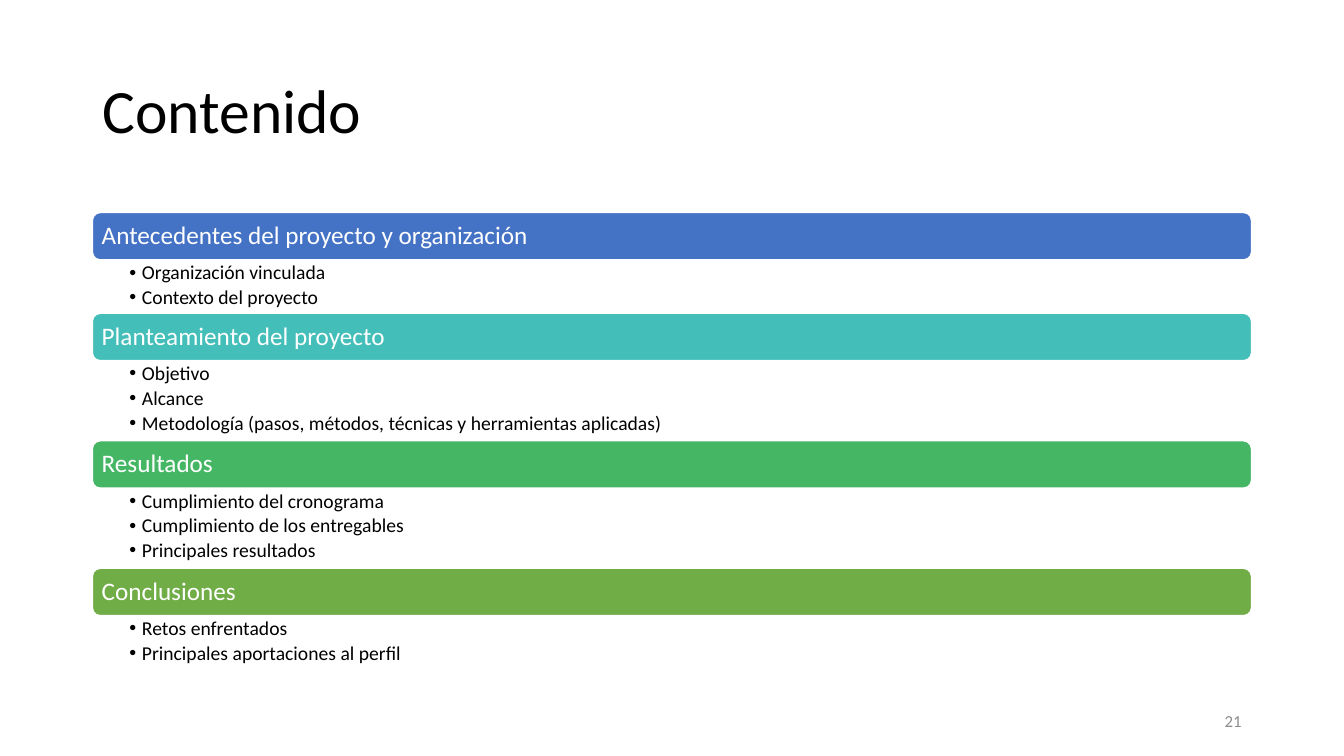
from dataclasses import dataclass, field

from lxml.etree import SubElement
from pptx import Presentation
from pptx.dml.color import RGBColor
from pptx.enum.shapes import MSO_SHAPE as Shape
from pptx.enum.text import MSO_ANCHOR as Anchor, MSO_AUTO_SIZE as Fit, PP_ALIGN as Align
from pptx.oxml.ns import qn
from pptx.util import Emu, Inches, Pt

CELL = Inches(1) // 12
COLUMNS, ROWS = 160, 90


@dataclass(frozen=True)
class Theme:
    font: str = "Calibri"
    ink: str = "000000"
    paper: str = "FFFFFF"
    muted: str = "8C8C8C"
    bars: tuple = ("4472C4", "43BEB9", "45B664", "70AD47")
    title: int = 44
    heading: int = 18
    item: int = 14
    number: int = 12


def cells(count):
    return Emu(round(count * CELL))


def assign(target, values):
    for name, value in values.items():
        setattr(target, name, value)


@dataclass
class Board:
    """Draws styled elements on one page laid out as a grid of cells."""

    page: object
    theme: Theme = field(default_factory=Theme)

    def place(self, shape, left, top, width, height):
        assign(shape, {"left": cells(left), "top": cells(top),
                       "width": cells(width), "height": cells(height)})

    def set_text(self, shape, lines, size, color, anchor=Anchor.MIDDLE, align=Align.LEFT,
                 insets=(1.2, 0.6, 1.2, 0.6), spacing=0.9, after=0):
        frame = shape.text_frame
        frame.text = "\n".join(lines)
        sides = ("margin_left", "margin_top", "margin_right", "margin_bottom")
        assign(frame, {"word_wrap": True, "auto_size": Fit.NONE, "vertical_anchor": anchor,
                       **dict(zip(sides, map(cells, insets)))})
        for para in frame.paragraphs:
            assign(para, {"alignment": align, "line_spacing": spacing,
                          "space_before": Pt(0), "space_after": Pt(after)})
            for span in para.runs:
                assign(span.font, {"name": self.theme.font, "size": Pt(size), "bold": False})
                span.font.color.rgb = RGBColor.from_string(color)
        return frame.paragraphs

    def title(self, text, *area):
        shape = self.page.shapes.title
        self.place(shape, *area)
        self.set_text(shape, [text], self.theme.title, self.theme.ink)

    def bar(self, text, color, *area):
        shape = self.page.shapes.add_shape(Shape.ROUNDED_RECTANGLE, *map(cells, area))
        shape.shadow.inherit = False
        shape.fill.solid()
        shape.fill.fore_color.rgb = RGBColor.from_string(color)
        shape.line.color.rgb = RGBColor.from_string(self.theme.paper)
        shape.line.width = Pt(1)
        self.set_text(shape, [text], self.theme.heading, self.theme.paper, insets=(0.84,) * 4)

    def bullets(self, shape, items, *area):
        self.place(shape, *area)
        paragraphs = self.set_text(shape, items, self.theme.item, self.theme.ink, Anchor.TOP,
                                   insets=(4.4, 0.36, 1.7, 0.36), after=2.5)
        hang = cells(1.5)
        for para in paragraphs:
            properties = para._p.get_or_add_pPr()
            properties.set("marL", str(hang))
            properties.set("indent", str(-hang))
            SubElement(properties, qn("a:buFont"), typeface="Arial")
            SubElement(properties, qn("a:buChar"), char="•")

    def number(self, text, *area):
        shape = self.page.shapes.add_textbox(*map(cells, area))
        self.set_text(shape, [text], self.theme.number, self.theme.muted,
                      align=Align.RIGHT, spacing=1.0)


SECTIONS = {
    "Antecedentes del proyecto y organización": [
        "Organización vinculada", "Contexto del proyecto"],
    "Planteamiento del proyecto": [
        "Objetivo", "Alcance",
        "Metodología (pasos, métodos, técnicas y herramientas aplicadas)"],
    "Resultados": [
        "Cumplimiento del cronograma", "Cumplimiento de los entregables",
        "Principales resultados"],
    "Conclusiones": [
        "Retos enfrentados", "Principales aportaciones al perfil"],
}
LEFT, WIDTH = 11, 138
BAR_HEIGHT, ITEM_HEIGHT = 5.64, 3.18


def main():
    deck = Presentation()
    assign(deck, {"slide_width": cells(COLUMNS), "slide_height": cells(ROWS)})
    comparison = deck.slide_layouts.get_by_name("Comparison")
    board = Board(deck.slides.add_slide(comparison))
    board.title("Contenido", LEFT, 4.8, WIDTH, 17.4)
    bodies = list(board.page.placeholders)[1:]
    top = 25.3
    for (heading, items), color, body in zip(SECTIONS.items(), board.theme.bars, bodies):
        height = ITEM_HEIGHT * len(items)
        board.bar(heading, color, LEFT, top, WIDTH, BAR_HEIGHT)
        board.bullets(body, items, LEFT, top + BAR_HEIGHT, WIDTH, height)
        top += BAR_HEIGHT + height
    board.number("21", 113, 83.4, 36, 4.8)
    deck.save("out.pptx")


if __name__ == "__main__":
    main()
